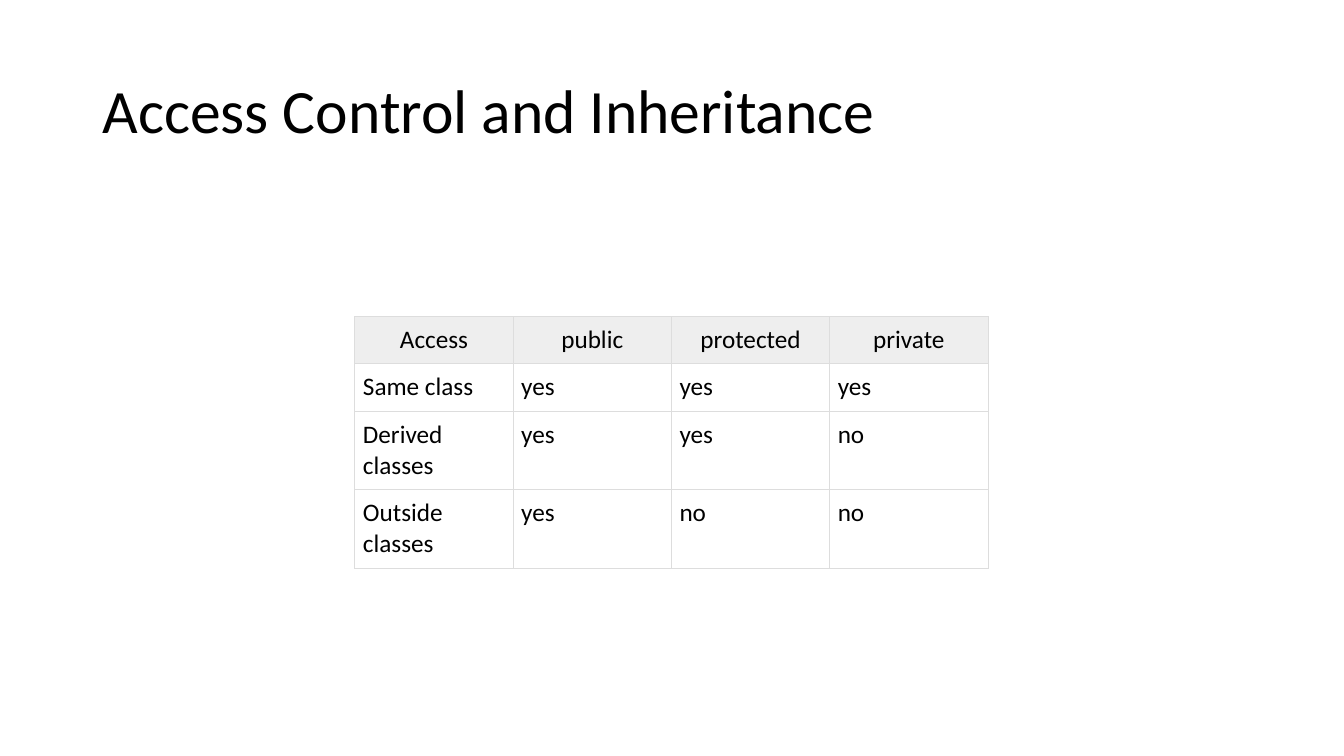
from pptx import Presentation
from pptx.dml.color import RGBColor
from pptx.enum.text import MSO_ANCHOR, PP_ALIGN
from pptx.oxml.ns import qn
from pptx.util import Inches, Pt
from lxml.etree import SubElement

ACCESS_ROWS = [
    ["Access", "public", "protected", "private"],
    ["Same class", "yes", "yes", "yes"],
    ["Derived classes", "yes", "yes", "no"],
    ["Outside classes", "yes", "no", "no"],
]
ROW_HEIGHTS = [0.47, 0.47, 0.78, 0.78]
COLUMN_WIDTH = 1.57
CELL_MARGIN = 0.08


def color(hex_string):
    return RGBColor.from_string(hex_string)


def set_attributes(target, values):
    for name, value in values.items():
        setattr(target, name, value)


def write_text(tf, text, size, **paragraph_format):
    p = tf.paragraphs[0]
    set_attributes(p, paragraph_format)
    r = p.add_run()
    r.text = text
    set_attributes(r.font, {"name": "Calibri", "size": Pt(size), "bold": False})
    r.font.color.rgb = color("000000")


def add_title(s, text):
    sp = s.shapes.add_textbox(Inches(0.92), Inches(0.4), Inches(11.5), Inches(1.45))
    tf = sp.text_frame
    set_attributes(tf, {"word_wrap": True, "vertical_anchor": MSO_ANCHOR.MIDDLE})
    write_text(tf, text, 44, line_spacing=0.9)


def set_borders(cell, hex_string, width):
    tc_pr = cell._tc.get_or_add_tcPr()
    for side in ("a:lnL", "a:lnR", "a:lnT", "a:lnB"):
        ln = SubElement(tc_pr, qn(side), w=str(Pt(width)))
        fill = SubElement(ln, qn("a:solidFill"))
        SubElement(fill, qn("a:srgbClr"), val=hex_string)


def format_cell(cell, text, is_header):
    margins = ("margin_left", "margin_right", "margin_top", "margin_bottom")
    set_attributes(cell, dict.fromkeys(margins, Inches(CELL_MARGIN)))
    set_borders(cell, "DDDDDD", 0.75)
    if is_header:
        cell.fill.solid()
        cell.fill.fore_color.rgb = color("EEEEEE")
    else:
        cell.fill.background()
    alignment = PP_ALIGN.CENTER if is_header else PP_ALIGN.LEFT
    write_text(cell.text_frame, text, 18, alignment=alignment)


def add_access_table(s, rows, left, top):
    n_cols = len(rows[0])
    frame = s.shapes.add_table(
        len(rows), n_cols, Inches(left), Inches(top),
        Inches(COLUMN_WIDTH * n_cols), Inches(sum(ROW_HEIGHTS)))
    table = frame.table
    set_attributes(table, {"first_row": False, "horz_banding": False})
    for column in table.columns:
        column.width = Inches(COLUMN_WIDTH)
    for i, (row, height) in enumerate(zip(rows, ROW_HEIGHTS)):
        table.rows[i].height = Inches(height)
        for j, text in enumerate(row):
            format_cell(table.cell(i, j), text, is_header=i == 0)


def main():
    prs = Presentation()
    set_attributes(prs, {"slide_width": Inches(13.33), "slide_height": Inches(7.5)})
    s = prs.slides.add_slide(prs.slide_layouts[6])

    # Title
    add_title(s, "Access Control and Inheritance")

    # Access table
    add_access_table(s, ACCESS_ROWS, 3.52, 3.14)

    prs.save("out.pptx")


if __name__ == "__main__":
    main()
